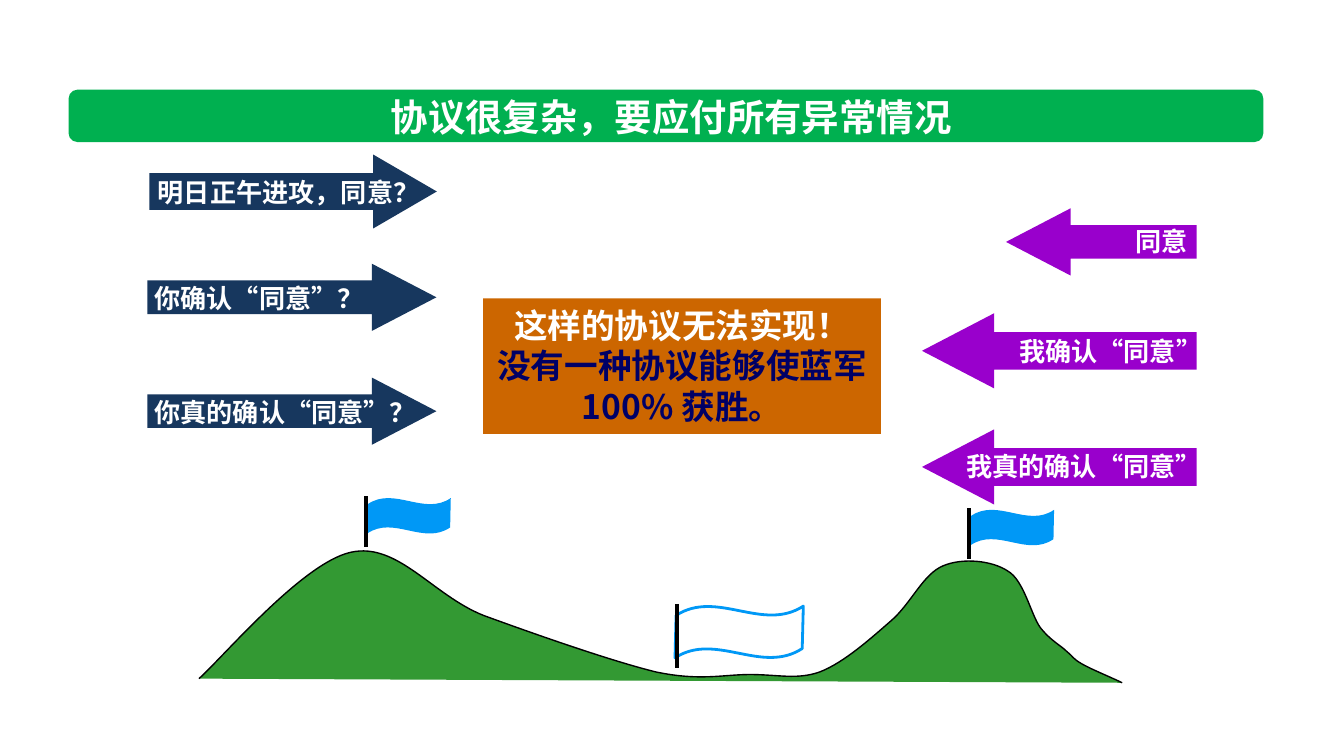
"""Build the slide on the two-army problem and its endless confirmations."""
from dataclasses import dataclass

from lxml.etree import SubElement
from pptx import Presentation
from pptx.dml.color import RGBColor
from pptx.enum.shapes import MSO_CONNECTOR, MSO_SHAPE
from pptx.enum.text import MSO_ANCHOR, PP_ALIGN
from pptx.oxml.ns import qn
from pptx.util import Pt


@dataclass(frozen=True)
class Theme:
    font: str = "Noto Sans CJK SC"
    white: str = "FFFFFF"
    black: str = "000000"
    navy: str = "000066"
    banner: str = "00B050"
    hill: str = "339933"
    flag: str = "0098F6"
    question: str = "17375E"
    answer: str = "9900CC"
    verdict: str = "CC6600"
    title_type: tuple = (20, 25)
    verdict_type: tuple = (18, 21.6)
    message_type: tuple = (14, 17.2)


THEME = Theme()
TITLE = "协议很复杂，要应付所有异常情况"
VERDICT = [("这样的协议无法实现！", THEME.white), ("没有一种协议能够使蓝军 100% 获胜。", THEME.navy)]
QUESTIONS = [
    ("明日正午进攻，同意？", (80, 82.8, 154, 39.6), 0.86, (77.4, 90.7, 156.2, 24.5)),
    ("你确认“同意”？", (79, 141.3, 154.8, 36), 0.96, (75.6, 147.6, 127.4, 24.5)),
    ("你真的确认“同意”？", (79, 202.3, 154.8, 36), 0.96, (75.6, 208.6, 159.1, 24.5)),
]
ANSWERS = [
    ("同意", (538.9, 111.6, 102.2, 36), 0.96, (600.8, 116.6, 42.5, 24.5)),
    ("我确认“同意”", (493.9, 167.8, 147.2, 40.3), 0.96, (537.5, 175.5, 113.8, 24.5)),
    ("我真的确认“同意”", (493.9, 230, 147.2, 40.3), 0.96, (509.3, 237.6, 141.8, 24.5)),
]
FLAGS = [
    ((196.1, 265.9, 46, 20.9), THEME.flag, None, (196.1, 293.2)),
    ((519.3, 272.2, 46, 20.9), THEME.flag, None, (519.3, 299.5)),
    ((360.7, 323.5, 70.6, 30.2), THEME.white, THEME.flag, (362.9, 357.8)),
]
HILL_START = (106.6, 363.6)
HILL_CURVES = [
    ((119.5, 352.1), (162, 301.7), (187.9, 295.9)),
    ((213.1, 290.2), (231.8, 319), (259.2, 329.8)),
    ((286.6, 339.8), (327.6, 354.2), (351.4, 360)),
    ((375.1, 365), (387.4, 361.4), (401.8, 361.4)),
    ((416.9, 361.4), (427, 364.3), (439.2, 360)),
    ((452.2, 355), (466.6, 342), (477.4, 332.6)),
    ((488.2, 323.3), (494.6, 307.4), (505.4, 303.1)),
    ((515.5, 298.8), (531.4, 300.2), (540, 306)),
    ((548.6, 311), (552.2, 329), (557.3, 336.2)),
    ((563, 343.4), (568.1, 345.6), (571.7, 349.2)),
    ((575.3, 352.1), (574.6, 352.8), (579.6, 355.7)),
    ((584.6, 358.6), (596.9, 363.6), (601.2, 365.8)),
]
UNITS_PER_POINT = 100


def color(value):
    return RGBColor.from_string(value)


def paint(shape, fill, line=None, width=0.75):
    shape.shadow.inherit = False
    shape.fill.solid()
    shape.fill.fore_color.rgb = color(fill)
    if line:
        shape.line.color.rgb = color(line)
        shape.line.width = Pt(width)
    else:
        shape.line.fill.background()


def add_shape(slide, kind, box, fill, line=None, width=0.75):
    shape = slide.shapes.add_shape(kind, *map(Pt, box))
    paint(shape, fill, line, width)
    return shape


def write(frame, lines, type_size, alignment):
    size, spacing = type_size
    for index, (text, text_color) in enumerate(lines):
        paragraph = frame.add_paragraph() if index else frame.paragraphs[0]
        paragraph.alignment = alignment
        paragraph.line_spacing = Pt(spacing)
        paragraph.space_before = Pt(0)
        run = paragraph.add_run()
        run.text = text
        run.font.size = Pt(size)
        run.font.bold = True
        run.font.color.rgb = color(text_color)
        run.font.name = THEME.font
        SubElement(run.font._element, qn("a:ea"), typeface=THEME.font)


def add_title(slide):
    title = slide.shapes.title
    title.left, title.top, title.width, title.height = map(Pt, (98.6, 48.1, 522, 28))
    frame = title.text_frame
    frame.margin_top = frame.margin_bottom = 0
    frame.vertical_anchor = MSO_ANCHOR.MIDDLE
    write(frame, [(TITLE, THEME.white)], THEME.title_type, PP_ALIGN.CENTER)
    banner = add_shape(slide, MSO_SHAPE.ROUNDED_RECTANGLE, (36.8, 48.1, 640, 28), THEME.banner)
    title.element.addprevious(banner.element)


def add_hill(slide):
    anchors = [HILL_START] + [curve[-1] for curve in HILL_CURVES]
    scaled = [tuple(value * UNITS_PER_POINT for value in anchor) for anchor in anchors]
    builder = slide.shapes.build_freeform(*scaled[0], scale=Pt(1) / UNITS_PER_POINT)
    builder.add_line_segments(scaled[1:], close=False)
    hill = builder.convert_to_shape()
    left, top = (min(values) for values in zip(*anchors))
    for segment, curve in zip(list(hill.element.iter(qn("a:lnTo"))), HILL_CURVES):
        segment.tag = qn("a:cubicBezTo")
        segment.clear()
        for x, y in curve:
            position = {"x": x - left, "y": y - top}
            units = {axis: str(round(value * UNITS_PER_POINT)) for axis, value in position.items()}
            SubElement(segment, qn("a:pt"), units)
    paint(hill, THEME.hill, THEME.black)


def add_flag(slide, box, fill, line, pole):
    cloth = add_shape(slide, MSO_SHAPE.WAVE, box, fill, line, 1.5)
    cloth.adjustments[1] = -0.016
    cloth.rotation = 355.8
    pole_x, pole_foot = pole
    ends = map(Pt, (pole_x, box[1], pole_x, pole_foot))
    connector = slide.shapes.add_connector(MSO_CONNECTOR.STRAIGHT, *ends)
    connector.line.color.rgb = color(THEME.black)
    connector.line.width = Pt(2.25)
    SubElement(connector.element.spPr, qn("a:effectLst"))


def add_message(slide, message, fill, rotation, alignment):
    text, arrow_box, head, text_box = message
    arrow = add_shape(slide, MSO_SHAPE.RIGHT_ARROW, arrow_box, fill)
    arrow.adjustments[1] = head
    arrow.rotation = rotation
    frame = slide.shapes.add_textbox(*map(Pt, text_box)).text_frame
    frame.word_wrap = False
    write(frame, [(text, THEME.white)], THEME.message_type, alignment)


def add_verdict(slide):
    box = add_shape(slide, MSO_SHAPE.RECTANGLE, (258.9, 159.8, 213.1, 72.7), THEME.verdict)
    frame = box.text_frame
    frame.word_wrap = True
    frame.vertical_anchor = MSO_ANCHOR.TOP
    write(frame, VERDICT, THEME.verdict_type, PP_ALIGN.CENTER)


def main():
    presentation = Presentation()
    presentation.slide_width, presentation.slide_height = Pt(720), Pt(405)
    slide = presentation.slides.add_slide(presentation.slide_layouts[5])
    add_title(slide)
    add_hill(slide)
    for flag in FLAGS:
        add_flag(slide, *flag)
    for message in QUESTIONS:
        add_message(slide, message, THEME.question, 0, PP_ALIGN.LEFT)
    for message in ANSWERS:
        add_message(slide, message, THEME.answer, 180, PP_ALIGN.RIGHT)
    add_verdict(slide)
    presentation.save("out.pptx")


if __name__ == "__main__":
    main()
